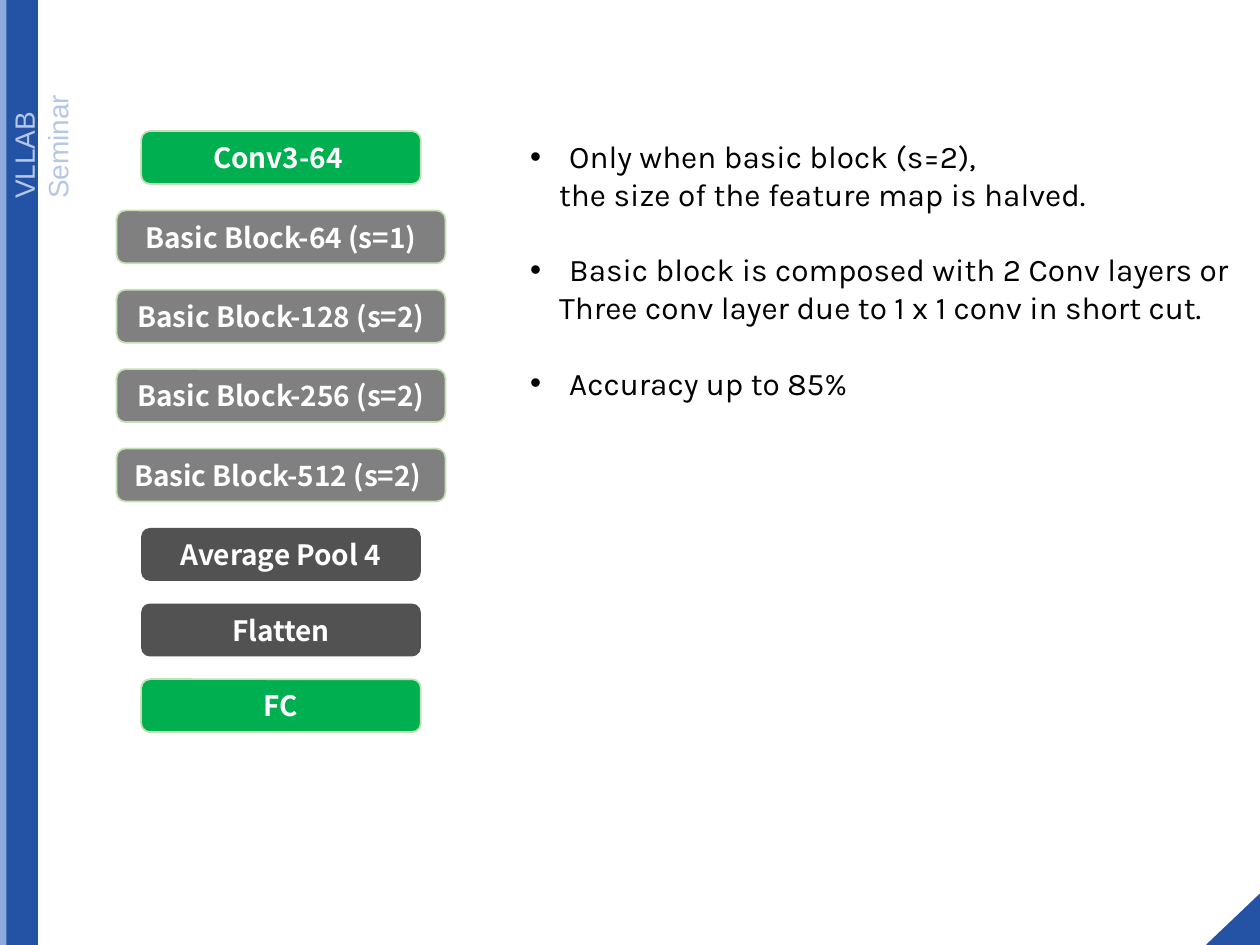
from lxml.etree import SubElement
from pptx import Presentation
from pptx.dml.color import RGBColor
from pptx.enum.shapes import MSO_SHAPE
from pptx.enum.text import MSO_ANCHOR, PP_ALIGN
from pptx.oxml.ns import qn
from pptx.util import Inches, Pt

WHITE = RGBColor(0xFF, 0xFF, 0xFF)
BLACK = RGBColor(0x00, 0x00, 0x00)
NAVY = RGBColor(0x24, 0x53, 0xA5)
SKY = RGBColor(0x8F, 0xAA, 0xDC)
PALE_BLUE = RGBColor(0xB4, 0xC7, 0xE7)
PALE_GREEN = RGBColor(0xC5, 0xE0, 0xB4)
GREEN = RGBColor(0x00, 0xB0, 0x50)
GRAY = RGBColor(0x80, 0x80, 0x80)
CHARCOAL = RGBColor(0x52, 0x52, 0x52)

COLUMNS, ROWS = 100, 75
STACK_CENTER, STACK_TOP = 22.3, 10.4
LAYER_HEIGHT = 4.2
NARROW, WIDE = 22.2, 26.1
BLOCK_STEP, TAIL_STEP = 6.3, 6

LAYERS = [
    ("Conv3-64 ", NARROW, GREEN, PALE_GREEN, BLOCK_STEP),
    ("Basic Block-64 (s=1)", WIDE, GRAY, PALE_GREEN, BLOCK_STEP),
    ("Basic Block-128 (s=2)", WIDE, GRAY, PALE_GREEN, BLOCK_STEP),
    ("Basic Block-256 (s=2)", WIDE, GRAY, PALE_GREEN, BLOCK_STEP),
    ("Basic Block-512 (s=2) ", WIDE, GRAY, PALE_GREEN, BLOCK_STEP),
    ("Average Pool 4", NARROW, CHARCOAL, None, TAIL_STEP),
    ("Flatten", NARROW, CHARCOAL, None, TAIL_STEP),
    ("FC", NARROW, GREEN, PALE_GREEN, TAIL_STEP),
]

NOTES = [
    ("Only when basic block (s=2),", "the size of the feature map is halved."),
    ("Basic block is composed with 2 Conv layers or",
     "Three conv layer due to 1 x 1 conv in short cut."),
    ("Accuracy up to 85%",),
]


class SeminarSlide:
    label_font = "Arial"
    layer_font = "Noto Sans CJK KR"
    note_font = "Karla"

    def __init__(self, deck):
        self.column = deck.slide_width / COLUMNS
        self.row = deck.slide_height / ROWS
        self.slide = deck.slides.add_slide(deck.slide_layouts[6])

    def place(self, left, top, width, height):
        return (round(left * self.column), round(top * self.row),
                round(width * self.column), round(height * self.row))

    def style(self, paragraph, font_name, size, color, bold=False):
        font = paragraph.font
        font.name, font.size, font.bold = font_name, Pt(size), bold
        font.color.rgb = color

    def shape(self, kind, area, fill, line=None, rotation=0):
        shape = self.slide.shapes.add_shape(kind, *self.place(*area))
        shape.shadow.inherit = False
        shape.rotation = rotation
        shape.fill.solid()
        shape.fill.fore_color.rgb = fill
        if line is None:
            shape.line.fill.background()
        else:
            shape.line.color.rgb = line
            shape.line.width = Pt(1)
        return shape

    def layer(self, name, top, width, fill, line):
        area = (STACK_CENTER - width / 2, top, width, LAYER_HEIGHT)
        box = self.shape(MSO_SHAPE.ROUNDED_RECTANGLE, area, fill, line)
        frame = box.text_frame
        frame.vertical_anchor = MSO_ANCHOR.MIDDLE
        frame.text = name
        paragraph = frame.paragraphs[0]
        paragraph.alignment = PP_ALIGN.CENTER
        self.style(paragraph, self.layer_font, 16, WHITE, bold=True)

    def text_box(self, area, rotation=0):
        box = self.slide.shapes.add_textbox(*self.place(*area))
        box.rotation = rotation
        box.text_frame.word_wrap = True
        return box.text_frame

    def side_label(self, text, area):
        frame = self.text_box(area, rotation=270)
        frame.text = text
        self.style(frame.paragraphs[0], self.label_font, 16, PALE_BLUE)

    def indent(self, paragraph, margin, first_line=0):
        properties = paragraph._p.get_or_add_pPr()
        properties.set("marL", str(Inches(margin)))
        properties.set("indent", str(Inches(first_line)))
        return properties

    def notes(self, notes, area):
        frame = self.text_box(area)
        lines = [(number, part, text) for number, note in enumerate(notes)
                 for part, text in enumerate(note)]
        for number, part, text in lines:
            first = number == part == 0
            paragraph = frame.paragraphs[0] if first else frame.add_paragraph()
            paragraph.text = text
            if part == 0:
                properties = self.indent(paragraph, 0.31, -0.31)
                SubElement(properties, qn("a:buFont"), typeface="Arial")
                SubElement(properties, qn("a:buChar"), char="•")
                if not first:
                    paragraph.space_before = Pt(21.5)
            else:
                self.indent(paragraph, 0.23)
            self.style(paragraph, self.note_font, 18, BLACK)


def main():
    deck = Presentation()
    deck.slide_width, deck.slide_height = Inches(10), Inches(7.5)
    page = SeminarSlide(deck)

    page.shape(MSO_SHAPE.RECTANGLE, (0, 0, 2.5, ROWS), SKY)
    page.shape(MSO_SHAPE.RECTANGLE, (0.5, 0, 2.5, ROWS), NAVY)
    page.side_label("VLLAB Seminar", (-6.5, 6.5, 16.8, 3.7))
    page.shape(MSO_SHAPE.RIGHT_TRIANGLE, (95.9, 70.9, 4, 4.2), NAVY, NAVY, rotation=270)

    top = STACK_TOP
    for name, width, fill, line, step in LAYERS:
        page.layer(name, top, width, fill, line)
        top += step

    page.notes(NOTES, (41.1, 10.4, 57.6, 22.2))
    deck.save("out.pptx")


if __name__ == "__main__":
    main()
